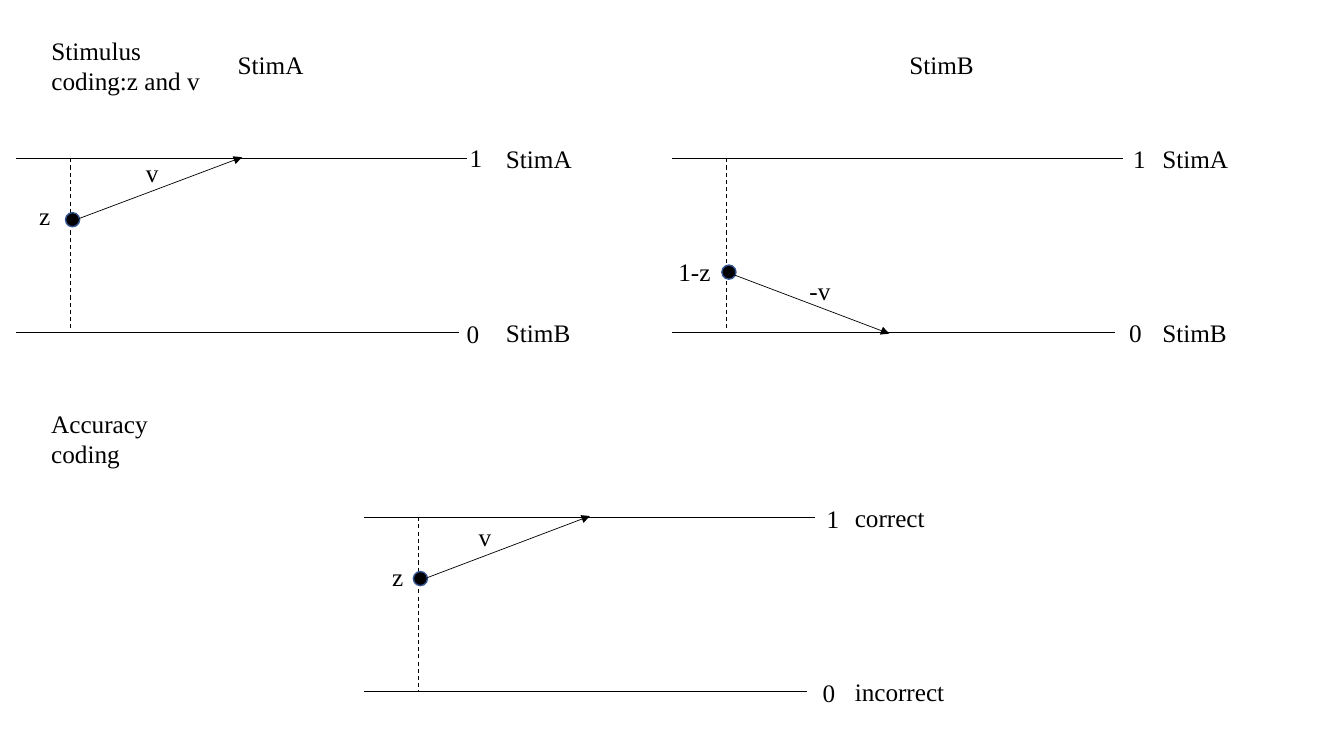
from dataclasses import dataclass

from lxml.etree import SubElement
from pptx import Presentation
from pptx.dml.color import RGBColor
from pptx.enum.dml import MSO_LINE
from pptx.enum.shapes import MSO_CONNECTOR, MSO_SHAPE
from pptx.enum.text import MSO_ANCHOR, MSO_AUTO_SIZE, PP_ALIGN
from pptx.oxml.ns import qn
from pptx.shapes.autoshape import Shape
from pptx.slide import Slide
from pptx.util import Emu, Pt

SCALE = 9144
FONT = "Times New Roman"
COLORS = {"ink": "000000", "rim": "325491"}
LONG, SHORT, DEPTH = 447, 439, 173
WIDE, SMALL, TALL = 156, 54, 40
DOT = 14


@dataclass(frozen=True)
class Label:
    text: str
    x: int
    y: int
    w: int = WIDE
    h: int = TALL


@dataclass(frozen=True)
class Panel:
    x: int
    y: int
    dot: int
    start: tuple[int, int]
    end: tuple[int, int]
    labels: tuple[Label, ...]


PANELS = (
    Panel(16, 157, 54, (62, 60), (224, -1), (
        Label("StimA", 476, -20), Label("StimB", 476, 153),
        Label("1", 440, -21, SMALL), Label("0", 437, 154, SMALL),
        Label("z", 13, 37, TALL), Label("v", 119, -6, SMALL))),
    Panel(667, 157, 106, (54, 113), (215, 174), (
        Label("StimA", 476, -20), Label("StimB", 476, 153),
        Label("1", 447, -20, SMALL), Label("0", 443, 153, SMALL),
        Label("1-z", -4, 92, SMALL), Label("-v", 126, 111, SMALL))),
    Panel(361, 513, 54, (63, 60), (224, -1), (
        Label("correct", 477, -20), Label("incorrect", 477, 153),
        Label("1", 449, -19, SMALL), Label("0", 445, 154, SMALL),
        Label("z", 18, 39, TALL), Label("v", 104, -1, SMALL))),
)
TITLE = Label("Stimulus coding:z and v", 41, 30, 185, 71)
HEADS = (
    Label("StimA", 226, 44),
    Label("StimB", 892, 44),
    Label("Accuracy coding", 41, 400, WIDE, 71),
)


def px(size: int) -> Emu:
    return Emu(size * SCALE)


def color(name: str) -> RGBColor:
    return RGBColor.from_string(COLORS[name])


def fill_text(box: Shape, label: Label) -> None:
    box.left, box.top = px(label.x), px(label.y)
    box.width, box.height = px(label.w), px(label.h)
    frame = box.text_frame
    frame.text = label.text
    frame.word_wrap = True
    frame.auto_size = MSO_AUTO_SIZE.SHAPE_TO_FIT_TEXT
    frame.vertical_anchor = MSO_ANCHOR.TOP
    para = frame.paragraphs[0]
    para.alignment = PP_ALIGN.LEFT
    para.font.name = FONT
    para.font.size = Pt(18)
    para.font.color.rgb = color("ink")


def add_label(slide: Slide, label: Label, x: int = 0, y: int = 0) -> None:
    box = slide.shapes.add_textbox(0, 0, 0, 0)
    fill_text(box, Label(label.text, x + label.x, y + label.y, label.w, label.h))


def add_line(slide: Slide, start: tuple[int, int], end: tuple[int, int],
             dashed: bool = False, arrow: bool = False) -> None:
    line = slide.shapes.add_connector(
        MSO_CONNECTOR.STRAIGHT, *map(px, start), *map(px, end))
    line.line.color.rgb = color("ink")
    line.line.width = Pt(0.75 if dashed else 0.5)
    if dashed:
        line.line.dash_style = MSO_LINE.DASH
    props = line.element.spPr
    if arrow:
        SubElement(props.find(qn("a:ln")), qn("a:tailEnd"), type="triangle")
    SubElement(props, qn("a:effectLst"))


def add_panel(slide: Slide, panel: Panel) -> None:
    x, y = panel.x, panel.y
    add_line(slide, (x, y), (x + LONG, y))
    add_line(slide, (x, y + DEPTH), (x + SHORT, y + DEPTH))
    add_line(slide, (x + 54, y), (x + 54, y + DEPTH), dashed=True)
    dot = slide.shapes.add_shape(
        MSO_SHAPE.OVAL, px(x + 49), px(y + panel.dot), px(DOT), px(DOT))
    dot.shadow.inherit = False
    dot.fill.solid()
    dot.fill.fore_color.rgb = color("ink")
    dot.line.color.rgb = color("rim")
    dot.line.width = Pt(1)
    start, end = ((x + a, y + b) for a, b in (panel.start, panel.end))
    add_line(slide, start, end, arrow=True)
    for label in panel.labels:
        add_label(slide, label, x, y)


def main() -> None:
    deck = Presentation()
    deck.slide_width, deck.slide_height = px(1333), px(750)
    slide = deck.slides.add_slide(deck.slide_layouts[5])
    fill_text(slide.shapes.title, TITLE)
    for head in HEADS:
        add_label(slide, head)
    for panel in PANELS:
        add_panel(slide, panel)
    deck.save("out.pptx")


if __name__ == "__main__":
    main()
